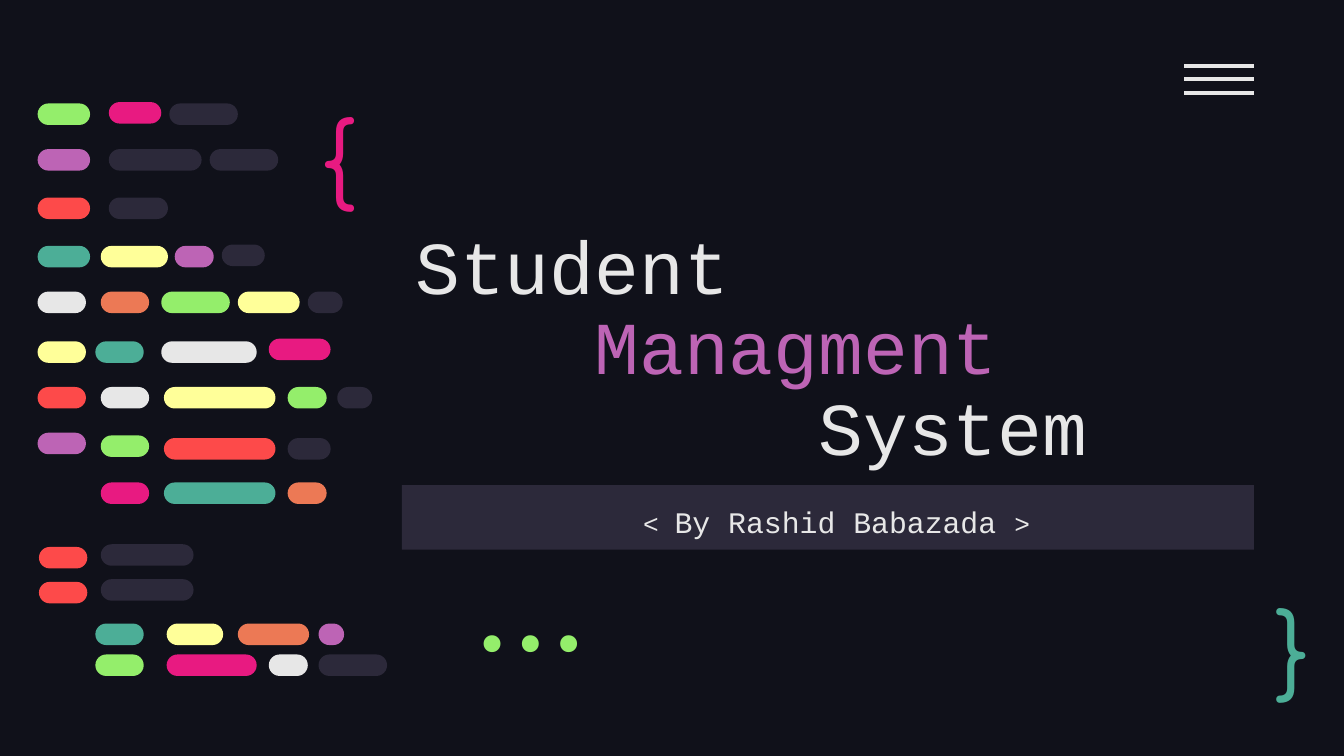
from pptx import Presentation
from pptx.dml.color import RGBColor
from pptx.enum.shapes import MSO_CONNECTOR, MSO_SHAPE
from pptx.enum.text import MSO_ANCHOR, MSO_AUTO_SIZE, PP_ALIGN
from pptx.oxml.ns import qn
from pptx.util import Inches, Pt
from lxml import etree

LEFT, CENTER, RIGHT = PP_ALIGN.LEFT, PP_ALIGN.CENTER, PP_ALIGN.RIGHT
TOP, MIDDLE, BOTTOM = MSO_ANCHOR.TOP, MSO_ANCHOR.MIDDLE, MSO_ANCHOR.BOTTOM
PILL, LINE = MSO_SHAPE.ROUNDED_RECTANGLE, MSO_CONNECTOR.STRAIGHT
NO_AUTOFIT = MSO_AUTO_SIZE.NONE

NIGHT, SLATE, WHITE = "10111A", "2C293A", "E7E7E7"
GREEN, PINK, PURPLE, RED = "94EE6B", "E81A81", "BD64B5", "FD4A4A"
TEAL, YELLOW, ORANGE = "4CAE97", "FFFF99", "EC7955"
CODE_FONT, BRACE_FONT, DOTS_FONT = "Courier New", "Comfortaa", "Fira Code"
SLIDE_WIDTH = 10
SLIDE_HEIGHT = SLIDE_WIDTH * 9 / 16
PILL_HEIGHT = 0.16
TITLE_CHARACTER, SUBTITLE_CHARACTER = 1 / 3, 0.13

TITLE_LINES = [("Student", WHITE, 0), ("Managment", PURPLE, 4), ("System", WHITE, 9)]
SUBTITLE_RUNS = [("< ", 14), ("By Rashid Babazada ", 16), (">", 14)]
SYMBOLS = [
    ("{", (2.29, 0.62, 0.77, 0.95), BRACE_FONT, PINK, TOP, LEFT),
    ("}", (9.39, 4.38, 0.57, 0.83), BRACE_FONT, TEAL, MIDDLE, LEFT),
    ("...", (3.11, 4.49, 1.58, 0.6), DOTS_FONT, GREEN, BOTTOM, RIGHT),
]
CODE_PILLS = [
    (0.77, [(0.28, 0.39, GREEN), (1.26, 0.51, SLATE)]),
    (0.76, [(0.81, 0.39, PINK)]),
    (1.11, [(0.28, 0.39, PURPLE), (0.81, 0.69, SLATE), (1.56, 0.51, SLATE)]),
    (1.47, [(0.28, 0.39, RED), (0.81, 0.44, SLATE)]),
    (1.83, [(0.28, 0.39, TEAL), (0.75, 0.5, YELLOW), (1.3, 0.29, PURPLE)]),
    (1.82, [(1.65, 0.32, SLATE)]),
    (2.17, [(0.28, 0.36, WHITE), (0.75, 0.36, ORANGE), (1.2, 0.51, GREEN),
            (1.77, 0.46, YELLOW), (2.29, 0.26, SLATE)]),
    (2.54, [(0.28, 0.36, YELLOW), (0.71, 0.36, TEAL), (1.2, 0.71, WHITE)]),
    (2.52, [(2, 0.46, PINK)]),
    (2.88, [(0.28, 0.36, RED), (0.75, 0.36, WHITE), (1.22, 0.83, YELLOW),
            (2.14, 0.29, GREEN), (2.51, 0.26, SLATE)]),
    (3.22, [(0.28, 0.36, PURPLE)]),
    (3.24, [(0.75, 0.36, GREEN)]),
    (3.26, [(1.22, 0.83, RED), (2.14, 0.32, SLATE)]),
    (3.59, [(0.75, 0.36, PINK), (1.22, 0.83, TEAL), (2.14, 0.29, ORANGE)]),
    (4.05, [(0.75, 0.69, SLATE)]),
    (4.07, [(0.29, 0.36, RED)]),
    (4.31, [(0.75, 0.69, SLATE)]),
    (4.33, [(0.29, 0.36, RED)]),
    (4.64, [(0.71, 0.36, TEAL), (1.24, 0.42, YELLOW), (1.77, 0.53, ORANGE),
            (2.37, 0.19, PURPLE)]),
    (4.87, [(0.71, 0.36, GREEN), (1.24, 0.67, PINK), (2, 0.29, WHITE),
            (2.37, 0.51, SLATE)]),
]


def color(value):
    return RGBColor.from_string(value)


class CodeSlide:
    """Holds the current slide and draws its elements in the code-editor style."""

    def __init__(self, presentation):
        self.slide = presentation.slides.add_slide(presentation.slide_layouts[0])
        self.slide.background.fill.solid()
        self.slide.background.fill.fore_color.rgb = color(NIGHT)

    def frame(self, shape, anchor):
        frame = shape.text_frame
        frame.word_wrap = True
        frame.auto_size = NO_AUTOFIT
        frame.vertical_anchor = anchor
        frame.margin_left = frame.margin_right = Inches(0.1)
        frame.margin_top = frame.margin_bottom = Inches(0.1)
        return frame

    def place(self, shape, box):
        shape.left, shape.top, shape.width, shape.height = map(Inches, box)

    def paragraph(self, paragraph, runs, font, alignment=LEFT, spacing=1.0, indent=0):
        paragraph.alignment = alignment
        paragraph.line_spacing = spacing
        paragraph.space_before = Pt(0)
        if indent:
            properties = paragraph._p.get_or_add_pPr()
            properties.set("marL", str(Inches(indent)))
            properties.set("indent", "0")
        for text, size, text_color in runs:
            run = paragraph.add_run()
            run.text = text
            run.font.name = font
            run.font.size = Pt(size)
            run.font.color.rgb = color(text_color)

    def title(self, box, lines):
        shape = self.slide.shapes.title
        self.place(shape, box)
        frame = self.frame(shape, BOTTOM)
        for index, (text, text_color, characters) in enumerate(lines):
            paragraph = frame.add_paragraph() if index else frame.paragraphs[0]
            self.paragraph(paragraph, [(text, 40, text_color)], CODE_FONT,
                           spacing=0.9, indent=characters * TITLE_CHARACTER)

    def subtitle(self, box, runs):
        shape = self.slide.placeholders[1]
        self.place(shape, box)
        shape.fill.solid()
        shape.fill.fore_color.rgb = color(SLATE)
        frame = self.frame(shape, TOP)
        self.paragraph(frame.paragraphs[0], [(text, size, WHITE) for text, size in runs],
                       CODE_FONT, CENTER, 1.15, SUBTITLE_CHARACTER)

    def symbol(self, text, box, font, text_color, anchor, alignment):
        shape = self.slide.shapes.add_textbox(*map(Inches, box))
        frame = self.frame(shape, anchor)
        self.paragraph(frame.paragraphs[0], [(text, 50, text_color)], font, alignment)

    def menu(self, left, right, tops):
        group = self.slide.shapes.add_group_shape()
        for top in tops:
            line = group.shapes.add_connector(
                LINE, Inches(left), Inches(top), Inches(right), Inches(top))
            line.line.color.rgb = color(WHITE)
            line.line.width = Pt(2.25)
            etree.SubElement(line.element.spPr, qn("a:effectLst"))

    def pills(self, rows):
        group = self.slide.shapes.add_group_shape()
        for top, row in rows:
            for left, width, fill in row:
                pill = group.shapes.add_shape(
                    PILL, Inches(left), Inches(top), Inches(width), Inches(PILL_HEIGHT))
                pill.adjustments[0] = 0.5
                pill.fill.solid()
                pill.fill.fore_color.rgb = color(fill)
                pill.line.fill.background()
                pill.shadow.inherit = False


def main():
    presentation = Presentation()
    presentation.slide_width = Inches(SLIDE_WIDTH)
    presentation.slide_height = Inches(SLIDE_HEIGHT)
    slide = CodeSlide(presentation)
    slide.title((2.99, 1.38, 6.34, 2.23), TITLE_LINES)
    slide.subtitle((2.99, 3.61, 6.34, 0.48), SUBTITLE_RUNS)
    for symbol in SYMBOLS:
        slide.symbol(*symbol)
    slide.menu(8.81, 9.33, [0.49, 0.59, 0.69])
    slide.pills(CODE_PILLS)
    presentation.save("out.pptx")


if __name__ == "__main__":
    main()
